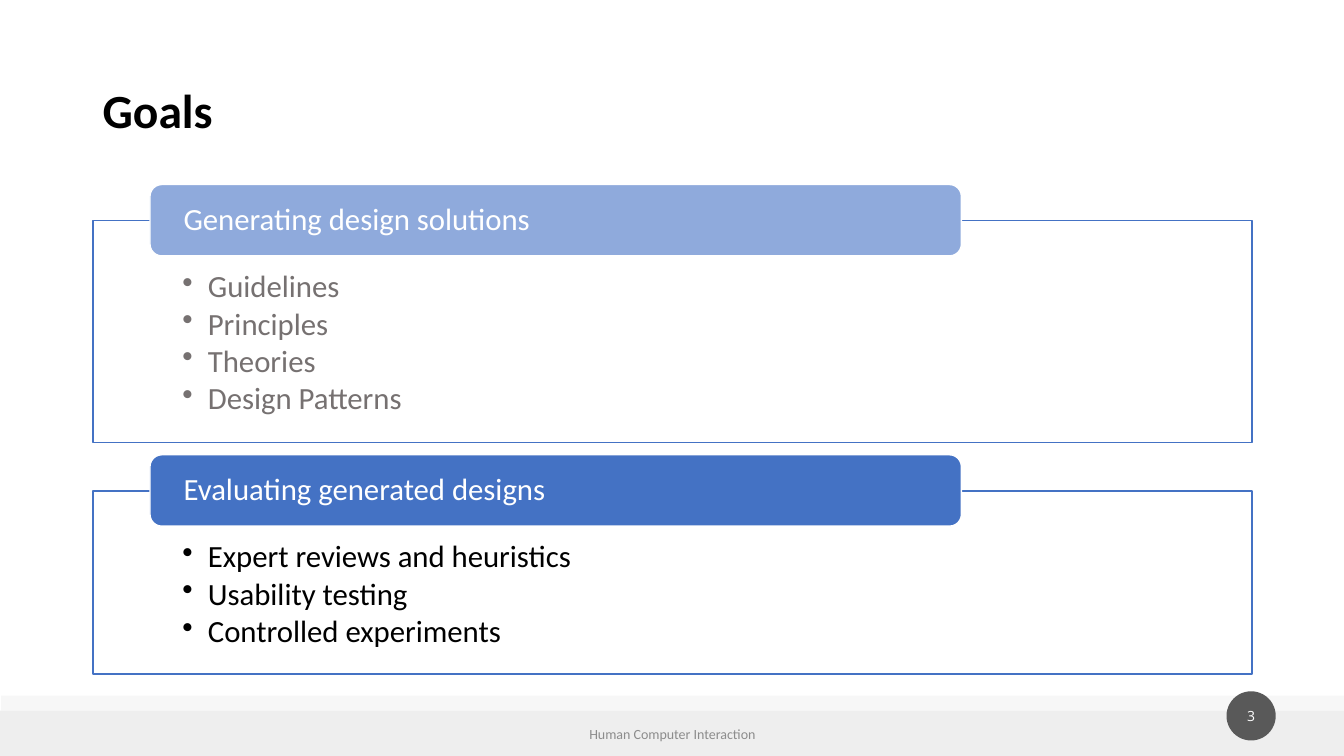
import dataclasses

import lxml.etree
import pptx
import pptx.dml.color
import pptx.enum.shapes
import pptx.enum.text
import pptx.oxml.ns
import pptx.slide
import pptx.shapes.autoshape
import pptx.text.text
import pptx.util

Cm = pptx.util.Cm
Shape = pptx.enum.shapes.MSO_SHAPE
Align = pptx.enum.text.PP_ALIGN
Anchor = pptx.enum.text.MSO_ANCHOR

COLOURS = {
    "white": "FFFFFF",
    "black": "000000",
    "blue": "4472C4",
    "pale_blue": "8FAADC",
    "grey_text": "767171",
    "footer_text": "8C8C8C",
    "footer_band": "EEEEEE",
    "badge": "595959",
}
SLIDE_WIDTH, SLIDE_HEIGHT = 33.87, 19.05
PANEL_LEFT, PANEL_WIDTH = 2.34, 29.21
HEADER_LEFT, HEADER_WIDTH, HEADER_HEIGHT = 3.78, 20.45, 1.8
HEADER_RISE = 0.91


@dataclasses.dataclass(frozen=True)
class Area:
    left: float
    top: float
    width: float
    height: float

    def lengths(self) -> list[pptx.util.Length]:
        return [Cm(value) for value in dataclasses.astuple(self)]


@dataclasses.dataclass(frozen=True)
class Style:
    size: float
    colour: str
    font: str = "Calibri"
    bold: bool = False
    align: Align = Align.LEFT
    line_spacing: float = 1.0
    space_after: float = 0
    bullet: bool = False


@dataclasses.dataclass(frozen=True)
class Goal:
    heading: str
    items: tuple[str, ...]
    top: float
    height: float
    header_colour: str
    text_colour: str


GOALS = (
    Goal("Generating design solutions",
         ("Guidelines", "Principles", "Theories", "Design Patterns"),
         5.56, 5.59, "pale_blue", "grey_text"),
    Goal("Evaluating generated designs",
         ("Expert reviews and heuristics", "Usability testing", "Controlled experiments"),
         12.37, 4.62, "blue", "black"),
)


def colour_of(name: str) -> pptx.dml.color.RGBColor:
    return pptx.dml.color.RGBColor.from_string(COLOURS[name])


def add_block(page: pptx.slide.Slide, kind: Shape, area: Area, fill: str,
              line: str | None = None, opacity: int = 100) -> pptx.shapes.autoshape.Shape:
    block = page.shapes.add_shape(kind, *area.lengths())
    block.shadow.inherit = False
    block.fill.solid()
    block.fill.fore_color.rgb = colour_of(fill)
    if opacity < 100:
        tint = block.fill._xPr.find(".//" + pptx.oxml.ns.qn("a:srgbClr"))
        alpha = lxml.etree.SubElement(tint, pptx.oxml.ns.qn("a:alpha"))
        alpha.set("val", str(opacity * 1000))
    if line is None:
        block.line.fill.background()
    else:
        block.line.color.rgb = colour_of(line)
        block.line.width = pptx.util.Pt(1)
    return block


def add_bullet(para: pptx.text.text._Paragraph) -> None:
    properties = para._p.get_or_add_pPr()
    properties.set("marL", str(Cm(0.64)))
    properties.set("indent", str(-Cm(0.64)))
    bullet = lxml.etree.SubElement(properties, pptx.oxml.ns.qn("a:buChar"))
    bullet.set("char", "•")


def write(box: pptx.shapes.autoshape.Shape, lines: tuple[str, ...], style: Style,
          anchor: Anchor = Anchor.MIDDLE,
          insets: tuple[float, float, float, float] = (0.25, 0.13, 0.25, 0.13)) -> None:
    frame = box.text_frame
    frame.word_wrap = True
    frame.vertical_anchor = anchor
    (frame.margin_left, frame.margin_top,
     frame.margin_right, frame.margin_bottom) = [Cm(inset) for inset in insets]
    for index, line in enumerate(lines):
        para = frame.add_paragraph() if index else frame.paragraphs[0]
        if style.bullet:
            add_bullet(para)
        para.alignment = style.align
        para.line_spacing = style.line_spacing
        para.space_after = pptx.util.Pt(style.space_after)
        span = para.add_run()
        span.text = line
        span.font.name = style.font
        span.font.size = pptx.util.Pt(style.size)
        span.font.bold = style.bold
        span.font.color.rgb = colour_of(style.colour)


def add_footer(page: pptx.slide.Slide) -> None:
    add_block(page, Shape.RECTANGLE, Area(0, 17.91, SLIDE_WIDTH, 1.14), "footer_band")
    add_block(page, Shape.RECTANGLE, Area(0.03, 17.53, SLIDE_WIDTH - 0.03, 0.38),
              "footer_band", opacity=47)
    badge = add_block(page, Shape.OVAL, Area(30.91, 17.42, 1.24, 1.24), "badge")
    write(badge, ("3",), Style(10, "white", "Open Sans", align=Align.CENTER),
          insets=(0, 0, 0, 0))
    caption = page.shapes.add_textbox(*Area(11.23, 17.98, 11.43, 1.02).lengths())
    write(caption, ("Human Computer Interaction",),
          Style(10, "footer_text", align=Align.CENTER))


def add_goal(page: pptx.slide.Slide, goal: Goal) -> None:
    panel = add_block(page, Shape.RECTANGLE,
                      Area(PANEL_LEFT, goal.top, PANEL_WIDTH, goal.height),
                      "white", "blue", opacity=90)
    write(panel, goal.items,
          Style(22, goal.text_colour, line_spacing=0.9, space_after=3, bullet=True),
          Anchor.TOP, (2.26, 1.27, 2.26, 0.43))
    header = add_block(page, Shape.ROUNDED_RECTANGLE,
                       Area(HEADER_LEFT, goal.top - HEADER_RISE, HEADER_WIDTH, HEADER_HEIGHT),
                       goal.header_colour, "white")
    write(header, (goal.heading,), Style(22, "white", line_spacing=0.9),
          insets=(0.76, 0, 0.76, 0))


def main() -> None:
    deck = pptx.Presentation()
    deck.slide_width, deck.slide_height = Cm(SLIDE_WIDTH), Cm(SLIDE_HEIGHT)
    page = deck.slides.add_slide(deck.slide_layouts[6])
    add_footer(page)
    for goal in GOALS:
        add_goal(page, goal)
    title = page.shapes.add_textbox(*Area(PANEL_LEFT, 1.02, PANEL_WIDTH, 3.68).lengths())
    write(title, ("Goals",), Style(34, "black", bold=True, line_spacing=0.9))
    deck.save("out.pptx")


if __name__ == "__main__":
    main()
